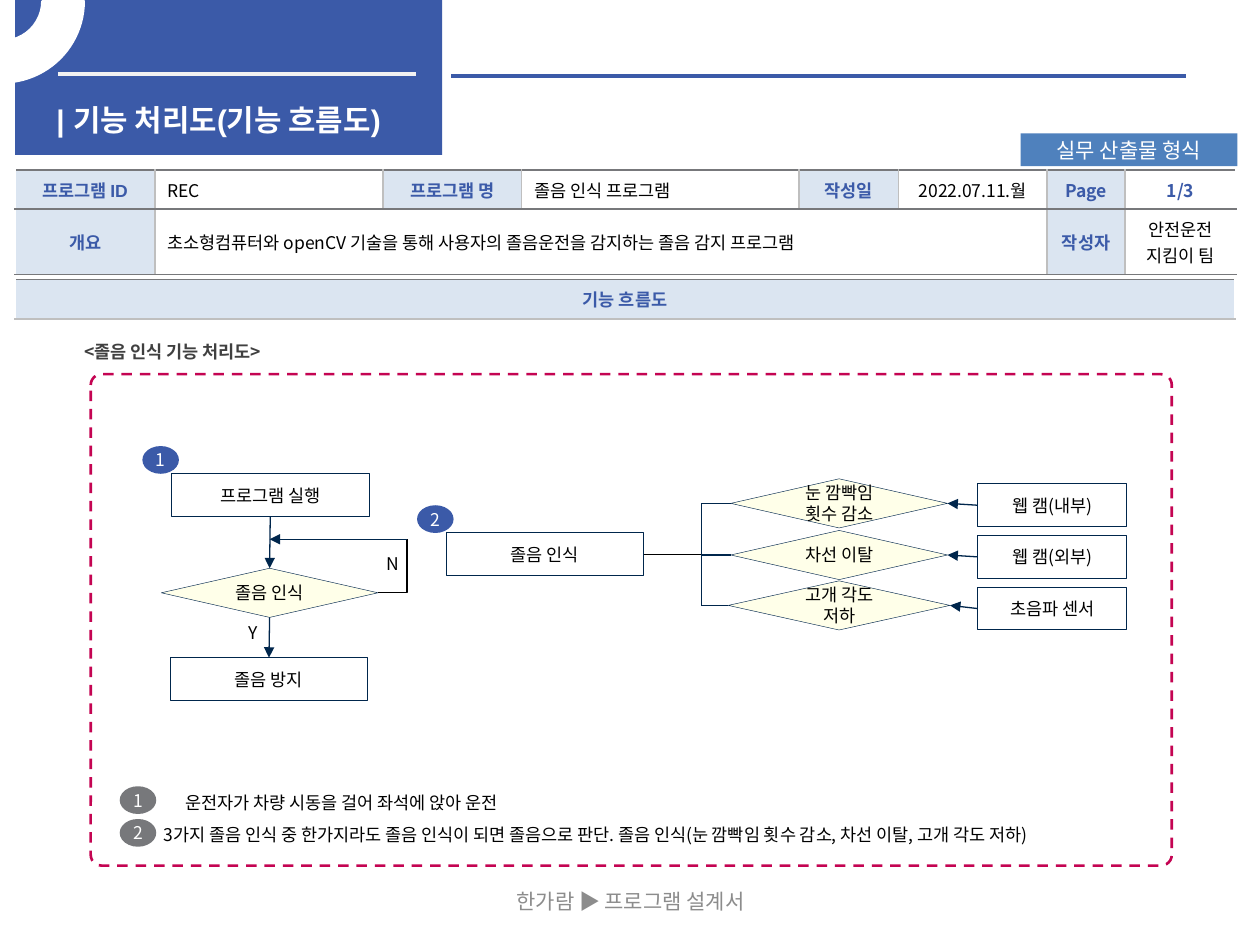
from lxml import etree
from pptx import Presentation
from pptx.dml.color import RGBColor
from pptx.enum.dml import MSO_LINE
from pptx.enum.shapes import MSO_CONNECTOR, MSO_SHAPE
from pptx.enum.text import MSO_ANCHOR, PP_ALIGN
from pptx.oxml.ns import qn
from pptx.util import Inches, Pt

SANS = "Noto Sans CJK KR"
COLORS = {
    "blue": "3B5AA8", "steel": "4F81BD", "navy": "00264C", "label": "B9CDE5",
    "cream": "FFFFE9", "white": "FFFFFF", "pale": "F2F2F2", "black": "000000",
    "dark": "404040", "gray": "77787B", "soft": "BFBFBF", "footer": "8C8C8C",
    "crimson": "C40452",
}
TOP, LEFT, BOTTOM, RIGHT = range(4)
CENTER = PP_ALIGN.CENTER

# Each cell: text, kind ("label", "value", "centered" or "page"), font
INFO_COLUMNS = [1.11, 1.81, 1.1, 2.2, 0.79, 1.18, 0.62, 0.88]
INFO_HEIGHTS = [0.31, 0.52]
INFO_ROWS = [
    [("프로그램 ID", "label", "Arial"), ("REC", "value", SANS),
     ("프로그램 명", "label", SANS), ("졸음 인식 프로그램", "value", SANS),
     ("작성일", "label", SANS), ("2022.07.11.월", "centered", SANS),
     ("Page", "label", SANS), ("1/3", "page", SANS)],
    [("개요", "label", "Arial"),
     ("초소형컴퓨터와 openCV 기술을 통해 사용자의 졸음운전을 감지하는 졸음 감지 프로그램",
      "value", SANS),
     None, None, None, None,
     ("작성자", "label", SANS), ("안전운전\n지킴이 팀", "centered", SANS)],
]
SECTION_ROWS = [[("기능 흐름도", "label", SANS)], [None]]

# Condition, its left, top and width, then the sensor feeding it and its top
CONDITIONS = [
    ("눈 깜빡임 횟수 감소", 5.8, 3.8, 1.72, "웹 캠(내부)", 3.84),
    ("차선 이탈", 5.8, 4.21, 1.72, "웹 캠(외부)", 4.25),
    ("고개 각도 저하", 5.78, 4.61, 1.76, "초음파 센서", 4.66),
]
BADGES = [("1", 1.13, 3.54, "blue"), ("2", 3.31, 4.01, "blue"),
          ("1", 0.95, 6.24, "gray"), ("2", 0.95, 6.5, "gray")]
LEGEND = [
    ("운전자가 차량 시동을 걸어 좌석에 앉아 운전", 6.2, 3.02, CENTER),
    ("3가지 졸음 인식 중 한가지라도 졸음 인식이 되면 졸음으로 판단. "
     "졸음 인식(눈 깜빡임 횟수 감소, 차선 이탈, 고개 각도 저하)", 6.46, 8.08, None),
]

prs = Presentation()
prs.slide_width, prs.slide_height = Inches(10), Inches(7.5)
slide = prs.slides.add_slide(prs.slide_layouts[6])


def rgb(name):
    return RGBColor.from_string(COLORS[name])


def write(frame, text, color="black", size=10, font=SANS, bold=False,
          align=CENTER, spacing=None):
    frame.text = text
    for paragraph in frame.paragraphs:
        paragraph.alignment = align
        paragraph.line_spacing = spacing
        style = paragraph.font
        style.name, style.size, style.bold = font, Pt(size), bold
        style.color.rgb = rgb(color)


def add_shape(kind, left, top, width, height, fill=None, line=None, weight=0.5):
    shape = slide.shapes.add_shape(
        kind, Inches(left), Inches(top), Inches(width), Inches(height))
    shape.shadow.inherit = False
    if fill:
        shape.fill.solid()
        shape.fill.fore_color.rgb = rgb(fill)
    else:
        shape.fill.background()
    if line:
        shape.line.color.rgb = rgb(line)
        shape.line.width = Pt(weight)
    else:
        shape.line.fill.background()
    return shape


def set_insets(frame, inset):
    frame.margin_left = frame.margin_right = Inches(inset)
    frame.margin_top = frame.margin_bottom = Inches(inset)


def add_step(text, left, top, width=1.57):
    step = add_shape(MSO_SHAPE.RECTANGLE, left, top, width, 0.34, line="navy")
    set_insets(step.text_frame, 0.04)
    write(step.text_frame, text)
    return step


def add_decision(text, left, top, width=1.72):
    decision = add_shape(MSO_SHAPE.FLOWCHART_DECISION, left, top, width, 0.39,
                         "cream", "navy", 0.25)
    write(decision.text_frame, text)
    return decision


def add_text(text, left, top, width, height, wrap=True, anchor=MSO_ANCHOR.TOP, **style):
    box = slide.shapes.add_textbox(
        Inches(left), Inches(top), Inches(width), Inches(height))
    box.text_frame.word_wrap = wrap
    box.text_frame.vertical_anchor = anchor
    write(box.text_frame, text, **style)


def add_line(start, end, color="navy", weight=0.75, arrow=False,
             kind=MSO_CONNECTOR.STRAIGHT):
    """Each end is an (x, y) point or a (shape, side) pair to join."""
    points = [(0, 0) if hasattr(e[0], "shape_id") else e for e in (start, end)]
    line = slide.shapes.add_connector(
        kind, *(Inches(value) for point in points for value in point))
    for tip, join in ((start, line.begin_connect), (end, line.end_connect)):
        if hasattr(tip[0], "shape_id"):
            join(*tip)
    line.line.color.rgb = rgb(color)
    line.line.width = Pt(weight)
    properties = line.element.spPr
    if arrow:
        etree.SubElement(properties.find(qn("a:ln")), qn("a:tailEnd"), type="triangle")
    etree.SubElement(properties, qn("a:effectLst"))
    return line


def set_borders(cell, **sides):
    properties = cell._tc.get_or_add_tcPr()
    for side in "LRTB":
        border = etree.SubElement(properties, qn(f"a:ln{side}"), w=str(Pt(1)))
        solid = etree.SubElement(border, qn("a:solidFill"))
        etree.SubElement(solid, qn("a:srgbClr"), val=COLORS[sides[side]])


def add_table(rows, left, top, widths, heights, bottoms):
    table = slide.shapes.add_table(
        len(rows), len(widths), Inches(left), Inches(top),
        Inches(sum(widths)), Inches(sum(heights))).table
    table.first_row = table.horz_banding = False
    for column, width in zip(table.columns, widths):
        column.width = Inches(width)
    for r, row in enumerate(rows):
        table.rows[r].height = Inches(heights[r])
        for c, content in enumerate(row):
            cell = table.cell(r, c)
            set_borders(cell, L="soft" if c else "white",
                        R="soft" if c < len(row) - 1 else "white",
                        T=bottoms[r - 1] if r else "gray", B=bottoms[r])
            text, kind, font = content or ("", "value", SANS)
            if kind == "label":
                cell.fill.solid()
                cell.fill.fore_color.rgb = rgb("label")
                tint = cell._tc.tcPr.find(qn("a:solidFill"))[0]
                etree.SubElement(tint, qn("a:alpha"), val="50000")
            else:
                cell.fill.background()
            cell.vertical_anchor = MSO_ANCHOR.MIDDLE
            if content:
                strong = kind in ("label", "page")
                write(cell.text_frame, text, "blue" if strong else "black", font=font,
                      bold=strong, align=PP_ALIGN.LEFT if kind == "value" else CENTER)
    return table


# Header and footer
add_shape(MSO_SHAPE.RECTANGLE, 0.12, 0, 3.39, 1.23, "blue")
add_line((0.46, 0.59), (3.3, 0.59), "pale", 2.25)
add_line((3.58, 0.6), (9.41, 0.6), "blue", 2.25)
add_text("| 기능 처리도(기능 흐름도)", 0.35, 0.76, 3.07, 0.32, color="white", size=17,
         font="Arial", bold=True, align=None)
arc = add_shape(MSO_SHAPE.BLOCK_ARC, -0.63, -0.63, 1.29, 1.28, "white", "white", 2)
arc.adjustments[0], arc.adjustments[1], arc.adjustments[2] = 96.95, 0, 0.25
arc.element.spPr.find(qn("a:xfrm")).set("flipV", "1")
add_text("한가람 ▶ 프로그램 설계서", 3.42, 6.95, 3.17, 0.4,
         anchor=MSO_ANCHOR.MIDDLE, color="footer", size=12)
tag = add_shape(MSO_SHAPE.RECTANGLE, 8.1, 1.06, 1.72, 0.26, "steel")
write(tag.text_frame, "실무 산출물 형식", "white", 12)

# Tables
add_table(SECTION_ROWS, 0.12, 2.22, [9.68], [0.31, 4.15], ["soft", "white"])
info = add_table(INFO_ROWS, 0.12, 1.35, INFO_COLUMNS, INFO_HEIGHTS, ["gray", "gray"])
info.cell(1, 1).merge(info.cell(1, 5))

# Flow frame
add_text("<졸음 인식 기능 처리도>", 0.57, 2.62, 5.43, 0.28, color="dark", bold=True,
         align=None, spacing=1.2)
frame = add_shape(MSO_SHAPE.ROUNDED_RECTANGLE, 0.72, 2.97, 8.58, 3.9,
                  line="crimson", weight=1.5)
frame.adjustments[0] = 0.022
frame.line.dash_style = MSO_LINE.DASH

# Main flow
launch = add_step("프로그램 실행", 1.36, 3.76)
detect = add_decision("졸음 인식", 1.28, 4.51)
prevent = add_step("졸음 방지", 1.35, 5.22)
add_line((launch, BOTTOM), (detect, TOP), arrow=True)
add_line((detect, BOTTOM), (prevent, TOP), arrow=True)
retry = add_line((3, 4.7), (3.23, 4.28), "black", kind=MSO_CONNECTOR.ELBOW)
retry.element.spPr.find(qn("a:prstGeom")).set("prst", "bentConnector2")
add_line((3.23, 4.28), (2.14, 4.28), arrow=True)
add_text("Y", 1.87, 4.89, 0.28, 0.27, wrap=False)
add_text("N", 2.96, 4.34, 0.31, 0.27, wrap=False)

# Detection conditions and their sensors
TRUNK = 5.57
detection = add_step("졸음 인식", 3.54, 4.23)
add_line((detection, RIGHT), (TRUNK, 4.4), "black")
add_line((TRUNK, 4.81), (TRUNK, 3.99))
for name, left, top, width, sensor_name, sensor_top in CONDITIONS:
    condition = add_decision(name, left, top, width)
    sensor = add_step(sensor_name, 7.76, sensor_top, 1.18)
    add_line((TRUNK, top + 0.195), (condition, LEFT))
    add_line((sensor, LEFT), (condition, RIGHT), arrow=True)

# Numbered notes
for number, left, top, color in BADGES:
    badge = add_shape(MSO_SHAPE.OVAL, left, top, 0.29, 0.22, color)
    set_insets(badge.text_frame, 0.06)
    badge.text_frame.word_wrap = False
    write(badge.text_frame, number, "white")
for note, top, width, align in LEGEND:
    add_text(note, 1.2, top, width, 0.28, wrap=False, align=align, spacing=1.2)

prs.save("out.pptx")
